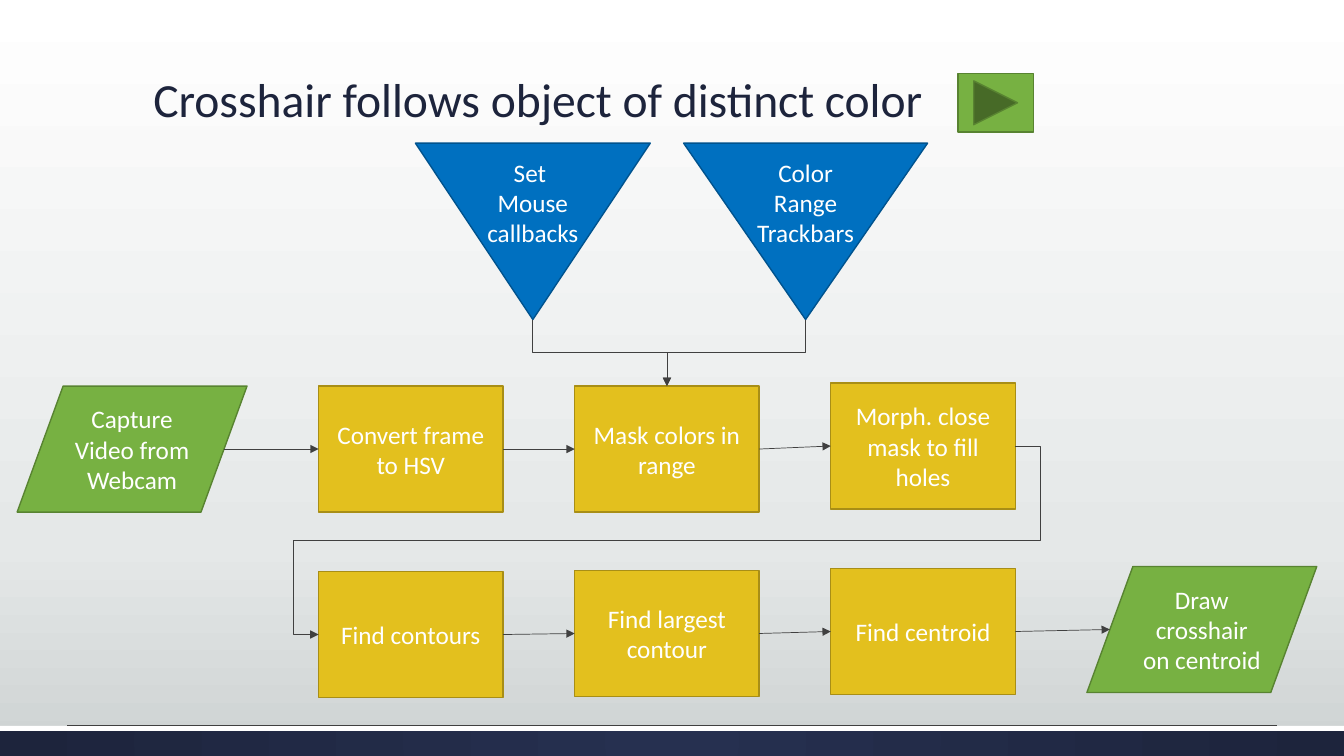
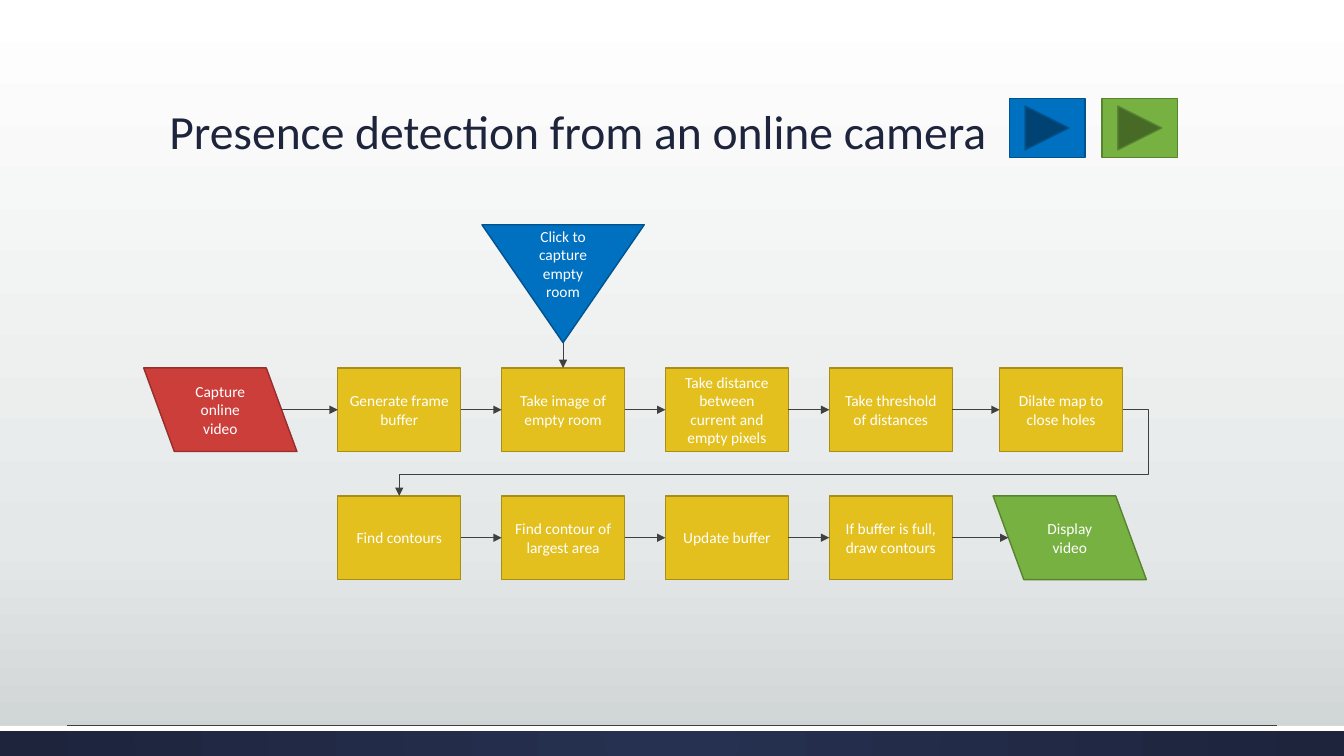
from dataclasses import dataclass
from itertools import pairwise

from lxml.etree import SubElement
from pptx import Presentation
from pptx.dml.color import RGBColor
from pptx.enum.shapes import MSO_CONNECTOR as Connector, MSO_SHAPE as Shape
from pptx.enum.text import MSO_ANCHOR as Anchor, MSO_AUTO_SIZE as AutoSize, PP_ALIGN as Align
from pptx.oxml import parse_xml
from pptx.oxml.ns import nsdecls, qn
from pptx.util import Inches, Pt

SLIDE_WIDTH, SLIDE_HEIGHT = 13.33, 7.5
FONT = "Calibri"
TOP, LEFT, BOTTOM, RIGHT = range(4)
COLORS = {
    "navy": "1D243C", "white": "FFFFFF", "arrow": "404040",
    "green": "77B142", "green_line": "588331",
    "yellow": "E3C01E", "yellow_line": "A88E16",
    "blue": "0070C0", "blue_line": "00538E",
    "red": "CB3E3A", "red_line": "962E2B",
}
BACKGROUND_STOPS = [(0, "FFFFFF"), (72, "E5E8E8"), (100, "CDD2D2")]
BAND_STOPS = [(0, "263050"), (100, "1D243C")]
LINEAR_DOWN = '<a:lin ang="5400000" scaled="0"/>'
FROM_CENTER = ('<a:path path="circle"><a:fillToRect l="50000" t="50000" '
               'r="50000" b="50000"/></a:path>')


@dataclass
class Grid:
    left: float
    top: float
    column_pitch: float
    row_pitch: float
    width: float
    height: float
    slant: float
    size: int

    def cell(self, column, row, lift=0):
        return (self.left + column * self.column_pitch,
                self.top + row * self.row_pitch - lift, self.width, self.height)


def rgb(name):
    return RGBColor.from_string(COLORS[name])


def set_gradient(fill, owner, stops, direction):
    fill.gradient()
    old = owner.xpath(".//a:gradFill")[0]
    stop_xml = "".join(f'<a:gs pos="{position * 1000}"><a:srgbClr val="{color}"/></a:gs>'
                       for position, color in stops)
    old.getparent().replace(old, parse_xml(
        f'<a:gradFill {nsdecls("a")} rotWithShape="1"><a:gsLst>{stop_xml}</a:gsLst>'
        f'{direction}</a:gradFill>'))


def add_plain_shape(slide, kind, box, color):
    shape = slide.shapes.add_shape(kind, *map(Inches, box))
    shape.shadow.inherit = False
    shape.fill.solid()
    shape.fill.fore_color.rgb = rgb(color)
    if f"{color}_line" in COLORS:
        shape.line.color.rgb = rgb(f"{color}_line")
        shape.line.width = Pt(1)
    else:
        shape.line.fill.background()
    return shape


def style_run(run, size, color):
    run.font.name = FONT
    run.font.size = Pt(size)
    run.font.color.rgb = rgb(color)


def add_node(slide, kind, box, color, text, size):
    shape = add_plain_shape(slide, kind, box, color)
    frame = shape.text_frame
    frame.word_wrap = True
    frame.vertical_anchor = Anchor.MIDDLE
    for index, line in enumerate(text.split("\n")):
        paragraph = frame.add_paragraph() if index else frame.paragraphs[0]
        paragraph.alignment = Align.CENTER
        run = paragraph.add_run()
        run.text = line
        style_run(run, size, "white")
    return shape


def add_process(slide, grid, column, row, text, lift=0):
    return add_node(slide, Shape.FLOWCHART_PROCESS, grid.cell(column, row, lift),
                    "yellow", text, grid.size)


def add_data(slide, grid, column, row, text, color, lift=0, flip=False):
    left, top, width, height = grid.cell(column, row, lift)
    if column < 0:
        left -= grid.slant
    shape = add_node(slide, Shape.FLOWCHART_DATA, (left, top, width + grid.slant, height),
                     color, text, grid.size)
    if flip:
        shape._element.spPr.xfrm.set("flipH", "1")
    return shape


def add_input(slide, box, text, size):
    shape = add_node(slide, Shape.FLOWCHART_MERGE, box, "blue", text, size)
    shape.text_frame.margin_top = Inches(0.05) + Pt(size * 1.22)
    return shape


def is_slanted(shape):
    return shape.auto_shape_type == Shape.FLOWCHART_DATA


def side_point(shape, side):
    inset = shape.width // 10 if is_slanted(shape) else 0
    middle_x, middle_y = shape.left + shape.width // 2, shape.top + shape.height // 2
    return {
        TOP: (middle_x, shape.top),
        LEFT: (shape.left + inset, middle_y),
        BOTTOM: (middle_x, shape.top + shape.height),
        RIGHT: (shape.left + shape.width - inset, middle_y),
    }[side]


def add_line(slide, kind, start, end, arrow=True):
    connector = slide.shapes.add_connector(kind, *start, *end)
    connector.line.color.rgb = rgb("arrow")
    connector.line.width = Pt(0.5)
    if arrow:
        SubElement(connector.line._get_or_add_ln(), qn("a:tailEnd"), type="triangle")
    SubElement(connector._element.spPr, qn("a:effectLst"))
    return connector


def link(slide, source, source_side, target, target_side, kind=Connector.STRAIGHT):
    connector = add_line(slide, kind, side_point(source, source_side),
                         side_point(target, target_side))
    if not is_slanted(source):
        connector.begin_connect(source, source_side)
    if not is_slanted(target):
        connector.end_connect(target, target_side)
    return connector


def link_chain(slide, nodes):
    for source, target in pairwise(nodes):
        link(slide, source, RIGHT, target, LEFT)


def link_down(slide, source, target):
    connector = link(slide, source, BOTTOM, target, TOP, Connector.ELBOW)
    (start_x, start_y), (end_x, end_y) = side_point(source, BOTTOM), side_point(target, TOP)
    width, height = end_y - start_y, abs(end_x - start_x)
    connector.left = (start_x + end_x - width) // 2
    connector.top = (start_y + end_y - height) // 2
    connector.width, connector.height = width, height
    goes_right = end_x > start_x
    connector.rotation = 270 if goes_right else 90
    transform = connector._element.spPr.xfrm
    transform.set("flipH", "1" if goes_right else "0")
    transform.set("flipV", "0")


def link_back(slide, source, target, target_side, preset, adjustments):
    connector = link(slide, source, RIGHT, target, target_side, Connector.ELBOW)
    geometry = connector._element.xpath(".//a:prstGeom")[0]
    geometry.set("prst", preset)
    guides = geometry.find(qn("a:avLst"))
    for number, share in enumerate(adjustments, 1):
        SubElement(guides, qn("a:gd"), name=f"adj{number}",
                   fmla=f"val {round(share * 100000)}")


def build_master(presentation, slide):
    master = presentation.slide_master
    set_gradient(master.background.fill, master._element, BACKGROUND_STOPS, LINEAR_DOWN)
    band_top = SLIDE_HEIGHT * 0.96
    band = add_plain_shape(slide, Shape.RECTANGLE,
                           (0, band_top, SLIDE_WIDTH, SLIDE_HEIGHT - band_top), "navy")
    set_gradient(band.fill, band._element, BAND_STOPS, FROM_CENTER)
    strip = add_plain_shape(slide, Shape.RECTANGLE, (0, band_top, SLIDE_WIDTH, 0.05), "white")
    rule_y = Inches(band_top)
    rule = add_line(slide, Connector.STRAIGHT, (Inches(SLIDE_WIDTH * 0.05), rule_y),
                    (Inches(SLIDE_WIDTH * 0.95), rule_y), arrow=False)
    for part in (band, strip, rule):
        master.shapes._spTree.append(part._element)


def place_title(slide, left, top, text):
    title = slide.shapes.title
    title.left, title.top, title.width, title.height = map(Inches, (left, top, 10.4, 1.35))
    frame = title.text_frame
    frame.word_wrap = True
    frame.auto_size = AutoSize.NONE
    frame.vertical_anchor = Anchor.BOTTOM
    paragraph = frame.paragraphs[0]
    paragraph.alignment = Align.LEFT
    paragraph.line_spacing = 0.9
    run = paragraph.add_run()
    run.text = text
    style_run(run, 34, "navy")


def add_play_buttons(slide, left, top, colors):
    for index, color in enumerate(colors):
        add_plain_shape(slide, Shape.ACTION_BUTTON_FORWARD_OR_NEXT,
                        (left + index * 0.92, top, 0.75, 0.58), color)


def build_crosshair_slide(slide):
    place_title(slide, 1.42, -0.03, "Crosshair follows object of distinct color")
    grid = Grid(3.16, 3.83, 2.54, 1.84, 1.83, 1.25, 0.45, 18)
    capture = add_data(slide, grid, -1, 0, "Capture\nVideo from\nWebcam", "green")
    convert = add_process(slide, grid, 0, 0, "Convert frame to HSV")
    mask = add_process(slide, grid, 1, 0, "Mask colors in range")
    close = add_process(slide, grid, 2, 0, "Morph. close mask to fill holes", 0.03)
    contours = add_process(slide, grid, 0, 1, "Find contours")
    largest = add_process(slide, grid, 1, 1, "Find largest contour", 0.01)
    centroid = add_process(slide, grid, 2, 1, "Find centroid", 0.03)
    draw = add_data(slide, grid, 3, 1, "Draw crosshair on centroid", "green", 0.05)
    inputs = [
        add_input(slide, (4.12, 1.42, 2.33, 1.75), "Set \nMouse\ncallbacks", grid.size),
        add_input(slide, (6.78, 1.42, 2.42, 1.75), "Color\nRange\nTrackbars", grid.size),
    ]
    for source in inputs:
        link_down(slide, source, mask)
    link_chain(slide, [capture, convert, mask, close])
    link_back(slide, close, contours, LEFT, "bentConnector5", (-0.036, 0.5, 1.036))
    link_chain(slide, [contours, largest, centroid, draw])
    add_play_buttons(slide, 9.5, 0.73, ["green"])


def build_presence_slide(slide):
    place_title(slide, 1.58, 0.29, "Presence detection from an online camera")
    grid = Grid(3.35, 3.65, 1.625, 1.27, 1.22, 0.83, 0.3, 11)
    capture = add_data(slide, grid, -1, 0, "Capture online\nvideo", "red", flip=True)
    first_row = [add_process(slide, grid, column, 0, text) for column, text in (
        (0, "Generate frame buffer"),
        (1, "Take image of empty room"),
        (2, "Take distance between current and empty pixels"),
        (3, "Take threshold of distances"),
        (4.04, "Dilate map to close holes"),
    )]
    second_row = [add_process(slide, grid, column, 1, text) for column, text in enumerate((
        "Find contours",
        "Find contour of largest area",
        "Update buffer",
        "If buffer is full, draw contours",
    ))]
    display = add_data(slide, grid, 4, 1, "Display video", "green", flip=True)
    click = add_input(slide, (4.78, 2.23, 1.61, 1.17), "Click to capture empty room", grid.size)
    link(slide, click, BOTTOM, first_row[1], TOP)
    link_chain(slide, [capture, *first_row])
    link_back(slide, first_row[-1], second_row[0], TOP, "bentConnector4", (-0.035, 0.746))
    link_chain(slide, [*second_row, display])
    add_play_buttons(slide, 10.01, 0.98, ["blue", "green"])


def main():
    presentation = Presentation()
    presentation.slide_width = Inches(SLIDE_WIDTH)
    presentation.slide_height = Inches(SLIDE_HEIGHT)
    title_only = presentation.slide_layouts[5]
    crosshair, presence = (presentation.slides.add_slide(title_only) for _ in range(2))
    build_master(presentation, crosshair)
    build_crosshair_slide(crosshair)
    build_presence_slide(presence)
    presentation.save("out.pptx")


if __name__ == "__main__":
    main()
